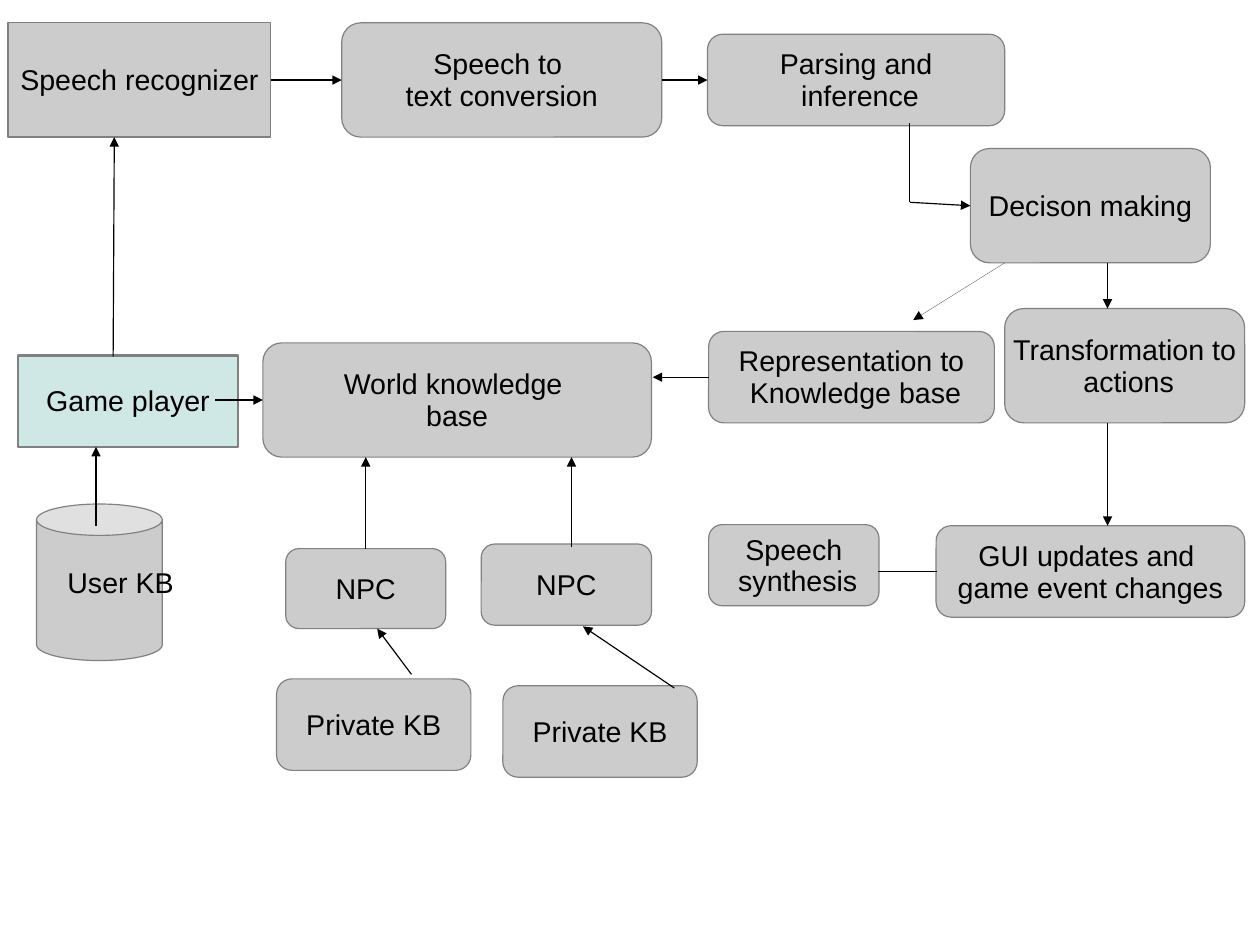
from dataclasses import dataclass
from lxml.etree import SubElement
from pptx import Presentation
from pptx.dml.color import RGBColor as RGB
from pptx.enum.shapes import MSO_CONNECTOR as CONN, MSO_SHAPE as SHAPE
from pptx.enum.text import MSO_ANCHOR as ANCHOR, PP_ALIGN as ALIGN
from pptx.oxml.ns import qn
from pptx.util import Cm, Inches, Pt


@dataclass(frozen=True)
class Theme:
    font: str = "Arial"
    size: Pt = Pt(18)
    text: RGB = RGB(0, 0, 0)
    box: RGB = RGB(0xCC, 0xCC, 0xCC)
    player: RGB = RGB(0xCF, 0xE7, 0xE5)
    border: RGB = RGB(0x80, 0x80, 0x80)
    border_width: Pt = Pt(0.75)
    player_width: Pt = Pt(1.45)
    arrow: RGB = RGB(0, 0, 0)
    arrow_width: Pt = Pt(0.75)
    hairline: Pt = Pt(0.01)


theme = Theme()
TOP, LEFT, BOTTOM, RIGHT = range(4)


def write(sp, text, anchor=ANCHOR.MIDDLE):
    tf = sp.text_frame
    tf.word_wrap = False
    tf.vertical_anchor = anchor
    tf.margin_left = tf.margin_right = Inches(0.1)
    tf.margin_top, tf.margin_bottom = Inches(0.07), Inches(0.05)
    tf.text = text
    for p in tf.paragraphs:
        p.alignment = ALIGN.CENTER
        p.line_spacing = 0.93
        p.font.name, p.font.size = theme.font, theme.size
        p.font.color.rgb = theme.text


def add_box(kind, at, fill=theme.box, width=theme.border_width):
    """Add a filled, outlined shape without a shadow."""
    sp = s.shapes.add_shape(kind, *map(Inches, at))
    sp.shadow.inherit = False
    sp.fill.solid()
    sp.fill.fore_color.rgb = fill
    sp.line.color.rgb = theme.border
    sp.line.width = width
    return sp


prs = Presentation()
prs.slide_width = Cm(28)
prs.slide_height = Cm(21)
s = prs.slides.add_slide(prs.slide_layouts[6])

player = add_box(SHAPE.RECTANGLE, (0.16, 3.11, 1.92, 0.8), theme.player, theme.player_width)
write(player, "Game player")
recognizer = add_box(SHAPE.RECTANGLE, (0.07, 0.2, 2.3, 1))
write(recognizer, "Speech recognizer")

steps = {
    "conversion": ("Speech to \ntext conversion", 2.99, 0.2, 2.8, 1),
    "parsing": ("Parsing and\n inference", 6.19, 0.3, 2.6, 0.8),
    "world": ("World knowledge \nbase", 2.3, 3, 3.4, 1),
    "representation": ("Representation to\n Knowledge base", 6.2, 2.9, 2.5, 0.8),
    "npc_left": ("NPC", 2.5, 4.8, 1.4, 0.7),
    "private_right": ("Private KB", 4.4, 6, 1.7, 0.8),
    "actions": ("Transformation to\n actions", 8.79, 2.7, 2.1, 1),
    "gui": ("GUI updates and \ngame event changes", 8.19, 4.6, 2.7, 0.8),
    "npc_right": ("NPC", 4.21, 4.76, 1.49, 0.71),
    "private_left": ("Private KB", 2.42, 5.94, 1.7, 0.8),
    "decision": ("Decison making", 8.49, 1.3, 2.1, 1),
    "synthesis": ("Speech\n synthesis", 6.2, 4.59, 1.49, 0.71),
}
boxes = {"recognizer": recognizer}
for name, (text, *at) in steps.items():
    boxes[name] = add_box(SHAPE.ROUNDED_RECTANGLE, at)
    write(boxes[name], text)

add_box(SHAPE.CAN, (0.32, 4.41, 1.1, 1.37))
user_kb = s.shapes.add_textbox(*map(Inches, (0.49, 4.9, 1.13, 0.48)))
write(user_kb, "User KB", ANCHOR.TOP)

# start, end, width, arrowhead, joined start, joined end
normal, thin = theme.arrow_width, theme.hairline
links = [
    ((0.84, 4.6), (0.84, 3.91), normal, True, None, None),
    ((0.99, 3.12), (1, 1.2), normal, True, None, None),
    ((2.37, 0.7), (2.99, 0.7), normal, True, ("recognizer", RIGHT), ("conversion", LEFT)),
    ((5.79, 0.7), (6.19, 0.7), normal, True, ("conversion", RIGHT), ("parsing", LEFT)),
    ((7.96, 1.08), (7.96, 1.77), normal, False, None, None),
    ((1.88, 3.5), (2.3, 3.5), normal, True, None, ("world", LEFT)),
    ((7.96, 1.77), (8.49, 1.8), normal, True, None, ("decision", LEFT)),
    ((9.69, 3.7), (9.69, 4.6), normal, True, None, None),
    ((3.6, 5.9), (3.3, 5.5), normal, True, None, None),
    ((5.9, 6.02), (5.1, 5.48), normal, True, None, None),
    ((3.2, 4.8), (3.2, 4), normal, True, ("npc_left", TOP), None),
    ((5, 4.79), (5, 4), normal, True, None, None),
    ((8.79, 2.3), (7.99, 2.8), thin, True, None, None),
    ((6.2, 3.3), (5.71, 3.3), thin, True, ("representation", LEFT), None),
    ((9.69, 2.3), (9.69, 2.7), thin, True, None, None),
    ((7.69, 5), (8.19, 5), thin, False, None, ("gui", LEFT)),
]
for start, end, width, arrowhead, source, target in links:
    link = s.shapes.add_connector(CONN.STRAIGHT, *map(Inches, start + end))
    link.line.color.rgb = theme.arrow
    link.line.width = width
    if source:
        link.begin_connect(boxes[source[0]], source[1])
    if target:
        link.end_connect(boxes[target[0]], target[1])
    spPr = link._element.spPr
    if arrowhead:
        SubElement(spPr.find(qn("a:ln")), qn("a:tailEnd"), type="triangle")
    SubElement(spPr, qn("a:effectLst"))

prs.save("out.pptx")
